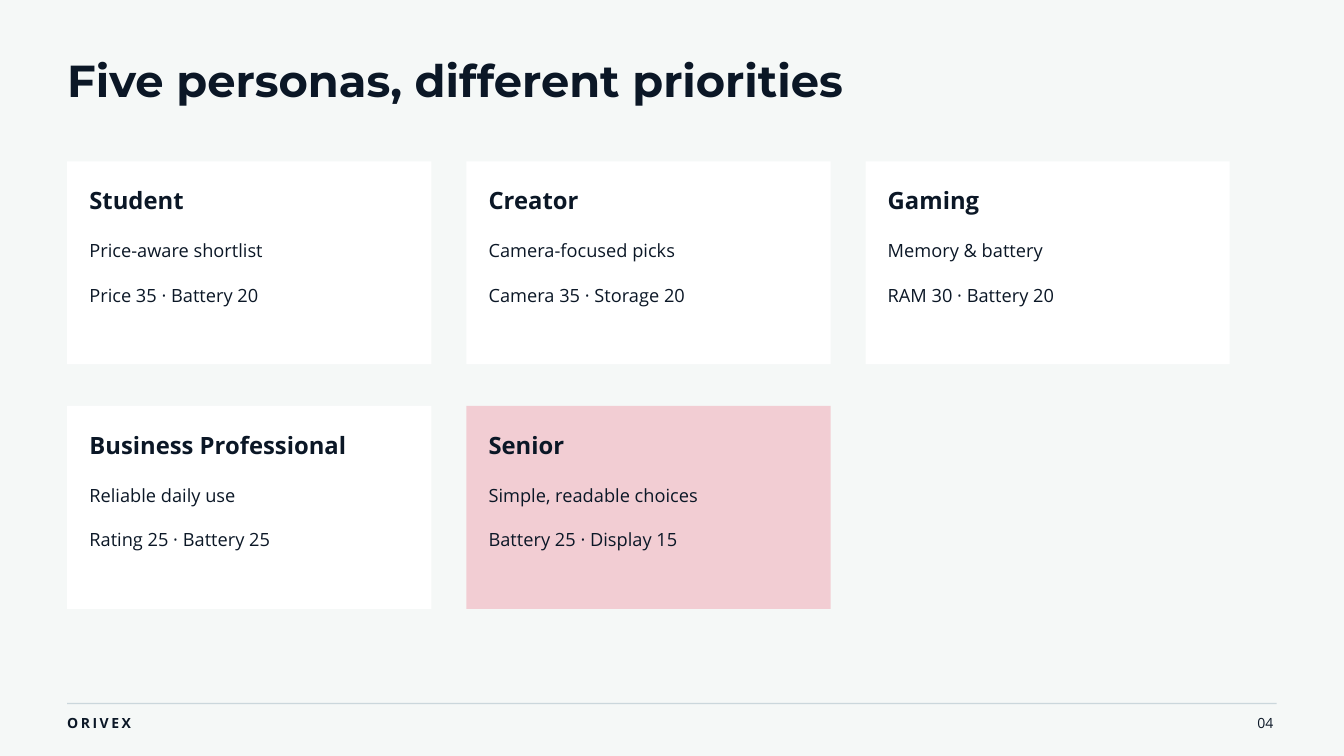
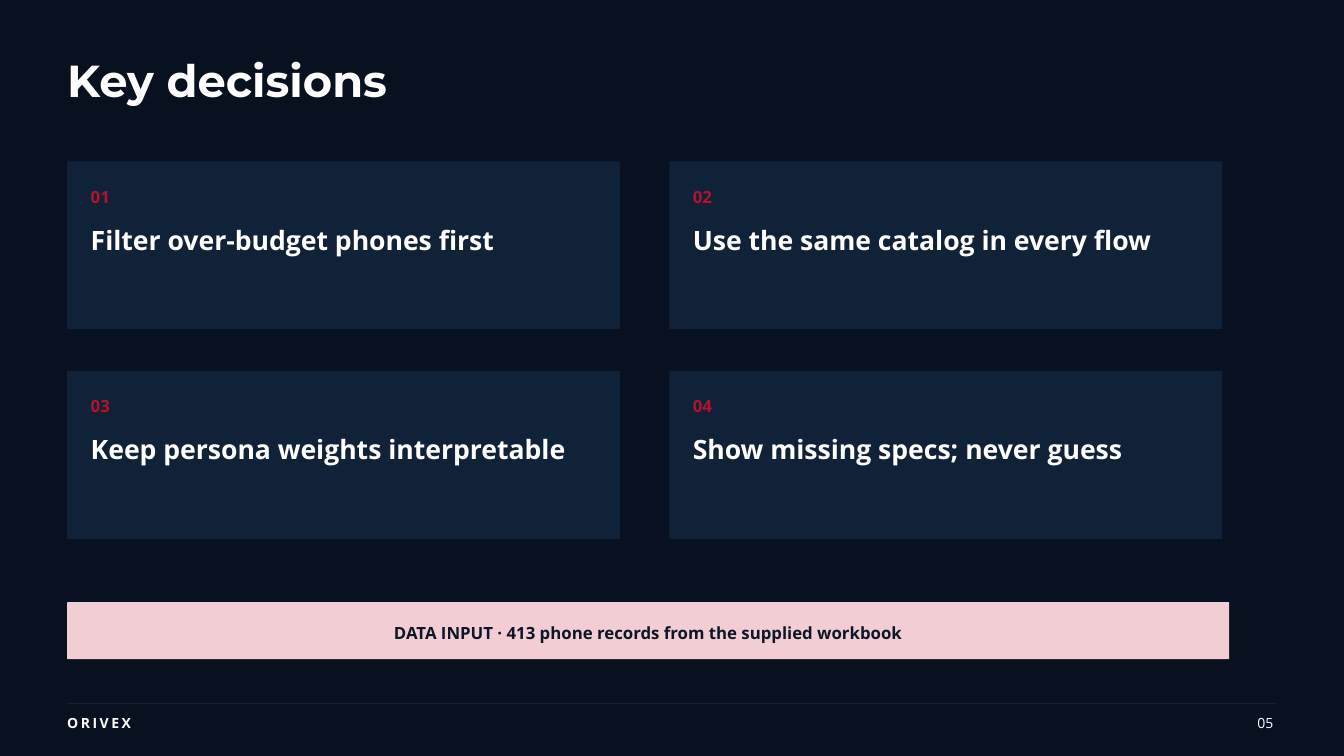
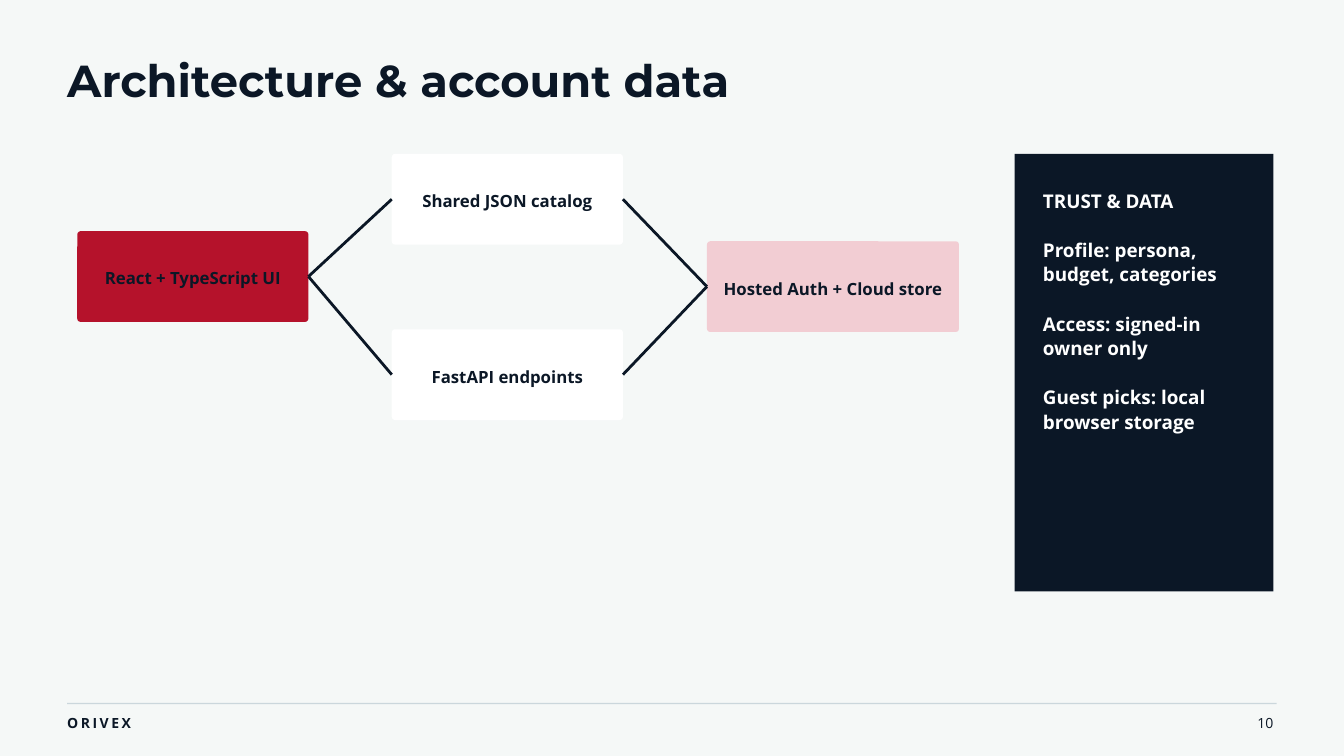
from dataclasses import dataclass

from lxml import etree
from pptx import Presentation
from pptx.dml.color import RGBColor
from pptx.enum.shapes import MSO_CONNECTOR, MSO_SHAPE
from pptx.enum.text import MSO_ANCHOR, PP_ALIGN
from pptx.oxml.ns import qn
from pptx.util import Inches, Pt

RECTANGLE = MSO_SHAPE.RECTANGLE
ROUNDED = MSO_SHAPE.ROUNDED_RECTANGLE
STRAIGHT = MSO_CONNECTOR.STRAIGHT
LEFT, CENTER, RIGHT = PP_ALIGN.LEFT, PP_ALIGN.CENTER, PP_ALIGN.RIGHT
TOP, MIDDLE = MSO_ANCHOR.TOP, MSO_ANCHOR.MIDDLE
LEFT_SIDE, RIGHT_SIDE = 1, 3

COLORS = {
    "paper": "F5F8F7",
    "night": "07111F",
    "ink": "0B1726",
    "navy": "102238",
    "white": "FFFFFF",
    "rose": "F2CDD3",
    "crimson": "B5122B",
    "rule": "CBD7DC",
}
TITLE_FONT, BODY_FONT = "Montserrat", "Open Sans"
BRAND = "ORIVEX"
MARGIN = 1
CONTENT_TOP = 2.4


@dataclass
class Theme:
    background: str
    text: str
    rule: str


@dataclass
class Persona:
    name: str
    summary: str
    weights: str
    fill: str = "white"


@dataclass
class Node:
    label: str
    left: float
    top: float
    width: float
    fill: str


LIGHT = Theme("paper", "ink", "rule")
DARK = Theme("night", "white", "navy")

PERSONAS = [
    Persona("Student", "Price-aware shortlist", "Price 35 · Battery 20"),
    Persona("Creator", "Camera-focused picks", "Camera 35 · Storage 20"),
    Persona("Gaming", "Memory & battery", "RAM 30 · Battery 20"),
    Persona("Business Professional", "Reliable daily use", "Rating 25 · Battery 25"),
    Persona("Senior", "Simple, readable choices", "Battery 25 · Display 15", "rose"),
]
DECISIONS = [
    "Filter over-budget phones first",
    "Use the same catalog in every flow",
    "Keep persona weights interpretable",
    "Show missing specs; never guess",
]
NODES = {
    "ui": Node("React + TypeScript UI", 1.15, 3.44, 3.44, "crimson"),
    "catalog": Node("Shared JSON catalog", 5.83, 2.29, 3.44, "white"),
    "api": Node("FastAPI endpoints", 5.83, 4.9, 3.44, "white"),
    "account": Node("Hosted Auth + Cloud store", 10.52, 3.59, 3.75, "rose"),
}
LINKS = [("ui", "catalog"), ("ui", "api"), ("catalog", "account"), ("api", "account")]
TRUST_NOTES = [
    "TRUST & DATA",
    "Profile: persona, budget, categories",
    "Access: signed-in owner only",
    "Guest picks: local browser storage",
]


def rgb(name: str) -> RGBColor:
    return RGBColor.from_string(COLORS[name])


# Basic elements
def write_text(shape, *lines: str, size: float, line_height: float, color: str = "ink",
               bold: bool = False, font: str = BODY_FONT, align=LEFT, anchor=TOP,
               inset: float = 0, gap: float = 0, tracking: float = 0) -> None:
    frame = shape.text_frame
    frame.word_wrap = True
    frame.vertical_anchor = anchor
    frame.margin_left = frame.margin_right = Inches(inset)
    frame.margin_top = frame.margin_bottom = Inches(inset)
    for index, line in enumerate(lines):
        paragraph = frame.add_paragraph() if index else frame.paragraphs[0]
        paragraph.alignment = align
        paragraph.line_spacing = Pt(line_height)
        if index:
            paragraph.space_before = Pt(gap)
        run = paragraph.add_run()
        run.text = line
        run.font.name = font
        run.font.size = Pt(size)
        run.font.bold = bold
        run.font.color.rgb = rgb(color)
        if tracking:
            run.font._element.set("spc", str(round(tracking * 100)))


def add_text(slide, left: float, top: float, width: float, height: float,
             *lines: str, **text_format) -> None:
    box = slide.shapes.add_textbox(Inches(left), Inches(top), Inches(width), Inches(height))
    write_text(box, *lines, **text_format)


def add_block(slide, left: float, top: float, width: float, height: float,
              fill: str, radius: float = 0):
    kind = ROUNDED if radius else RECTANGLE
    shape = slide.shapes.add_shape(
        kind, Inches(left), Inches(top), Inches(width), Inches(height))
    if radius:
        shape.adjustments[0] = radius / height
    shape.shadow.inherit = False
    shape.fill.solid()
    shape.fill.fore_color.rgb = rgb(fill)
    shape.line.fill.background()
    return shape


def add_label_block(slide, label: str, left: float, top: float, width: float,
                    height: float, fill: str, radius: float):
    block = add_block(slide, left, top, width, height, fill, radius)
    write_text(block, label, size=18, line_height=25.2, bold=True,
               align=CENTER, anchor=MIDDLE, inset=0.06)
    return block


def link(slide, start, end) -> None:
    connector = slide.shapes.add_connector(STRAIGHT, 0, 0, 0, 0)
    connector.begin_connect(start, RIGHT_SIDE)
    connector.end_connect(end, LEFT_SIDE)
    connector.line.color.rgb = rgb("ink")
    connector.line.width = Pt(3)
    etree.SubElement(connector._element.spPr, qn("a:effectLst"))


# Shared frame: background, title, footer
def start_slide(presentation, title: str, number: str, theme: Theme):
    slide = presentation.slides.add_slide(presentation.slide_layouts[6])
    slide.background.fill.solid()
    slide.background.fill.fore_color.rgb = rgb(theme.background)
    add_text(slide, MARGIN, 0.9, 15.62, 0.69, title, size=48, line_height=49,
             color=theme.text, bold=True, font=TITLE_FONT)
    add_block(slide, MARGIN, 10.46, 18, 0.02, theme.rule)
    footer = {"size": 15, "line_height": 21, "color": theme.text}
    add_text(slide, MARGIN, 10.59, 2.71, 0.28, BRAND, bold=True, tracking=2.7, **footer)
    add_text(slide, 18.12, 10.59, 0.83, 0.28, number, align=RIGHT, **footer)
    return slide


# Slides
def build_personas(presentation) -> None:
    slide = start_slide(presentation, "Five personas, different priorities", "04", LIGHT)
    for index, persona in enumerate(PERSONAS):
        row, column = divmod(index, 3)
        left, top = MARGIN + 5.94 * column, CONTENT_TOP + 3.64 * row
        add_block(slide, left, top, 5.42, 3.02, persona.fill)
        add_text(slide, left + 0.33, top + 0.33, 4.69, 0.45, persona.name,
                 size=25.5, line_height=33.1, bold=True)
        for offset, detail in ((1.14, persona.summary), (1.8, persona.weights)):
            add_text(slide, left + 0.33, top + offset, 4.69, 0.34, detail,
                     size=19.5, line_height=25.4)


def build_decisions(presentation) -> None:
    slide = start_slide(presentation, "Key decisions", "05", DARK)
    for index, decision in enumerate(DECISIONS):
        row, column = divmod(index, 2)
        left, top = MARGIN + 8.96 * column, CONTENT_TOP + 3.12 * row
        add_block(slide, left, top, 8.23, 2.5, "navy")
        add_text(slide, left + 0.35, top + 0.35, 1.04, 0.31, f"{index + 1:02}",
                 size=18, line_height=23.4, color="crimson", bold=True)
        add_text(slide, left + 0.35, top + 0.89, 7.29, 0.49, decision,
                 size=28.5, line_height=37, color="white", bold=True)
    add_label_block(slide, "DATA INPUT · 413 phone records from the supplied workbook",
                    MARGIN, 8.96, 17.29, 0.85, "rose", radius=0.01)


def build_architecture(presentation) -> None:
    slide = start_slide(presentation, "Architecture & account data", "10", LIGHT)
    blocks = {
        key: add_label_block(slide, node.label, node.left, node.top, node.width, 1.35,
                             node.fill, radius=0.05)
        for key, node in NODES.items()
    }
    for start, end in LINKS:
        link(slide, blocks[start], blocks[end])

    # Trust panel
    add_block(slide, 15.1, 2.29, 3.85, 6.51, "ink")
    add_text(slide, 15.52, 2.79, 3.02, 3.64, *TRUST_NOTES, size=20.2,
             line_height=26.3, color="white", bold=True, gap=26.3)


def main() -> None:
    presentation = Presentation()
    presentation.slide_width = Inches(20)
    presentation.slide_height = Inches(11.25)
    build_personas(presentation)
    build_decisions(presentation)
    build_architecture(presentation)
    presentation.save("out.pptx")


if __name__ == "__main__":
    main()
